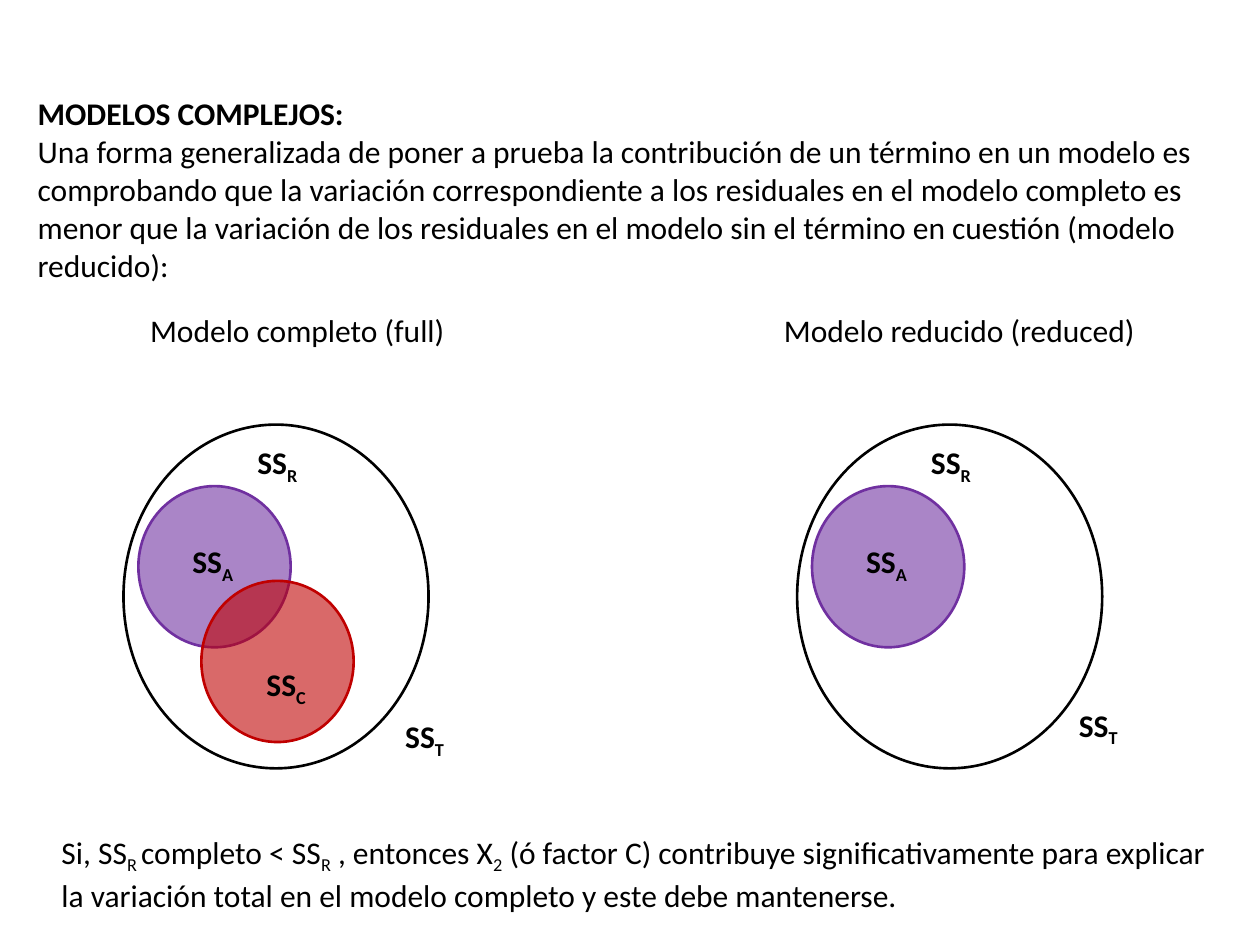
from dataclasses import dataclass

import pptx
import pptx.dml.color
import pptx.enum.shapes
import pptx.enum.text
import pptx.oxml.ns
import pptx.util
from lxml import etree

Cm = pptx.util.Cm
COLORS = {"black": "000000", "purple": "7030A0", "red": "C00000"}
CENTER = pptx.enum.text.PP_ALIGN.CENTER
PANEL_TOP = 8.56
LABEL_HEIGHT = 1.02


@dataclass(frozen=True)
class Run:
    text: str
    subscript: bool = False


@dataclass(frozen=True)
class Paragraph:
    runs: tuple[Run, ...]
    bold: bool = False


@dataclass(frozen=True)
class Circle:
    left: float
    top: float
    width: float
    height: float
    color: str
    filled: bool = True


@dataclass(frozen=True)
class Label:
    source: str
    left: float
    top: float
    width: float


@dataclass(frozen=True)
class Panel:
    left: float
    circles: tuple[Circle, ...]
    labels: tuple[Label, ...]


@dataclass(frozen=True)
class Heading:
    text: str
    left: float
    width: float


TOTAL = Circle(0, 0, 6.15, 6.93, "black", filled=False)
FACTOR_A = Circle(0.3, 1.24, 3.07, 3.25, "purple")
FACTOR_C = Circle(1.57, 3.15, 3.07, 3.25, "red")
LABEL_A = Label("A", 0.91, 2.24, 1.78)
LABEL_C = Label("C", 2.29, 4.72, 1.98)
LABEL_R = Label("R", 2.11, 0.25, 1.98)

PANELS = (
    Panel(2.49, (TOTAL, FACTOR_A, FACTOR_C),
          (LABEL_A, LABEL_C, LABEL_R, Label("T", 5.18, 5.77, 1.78))),
    Panel(16.07, (TOTAL, FACTOR_A),
          (LABEL_A, LABEL_R, Label("T", 5.18, 5.54, 1.78))),
)
HEADINGS = (
    Heading("Modelo completo (full)", 2.39, 7.21),
    Heading("Modelo reducido (reduced)", 14.68, 9.32),
)
INTRODUCTION = (
    Paragraph((Run("MODELOS COMPLEJOS:"),), bold=True),
    Paragraph((Run(
        "Una forma generalizada de poner a prueba la contribución de un término "
        "en un modelo es comprobando que la variación correspondiente a los "
        "residuales en el modelo completo es menor que la variación de los "
        "residuales en el modelo sin el término en cuestión (modelo reducido):"),)),
)
CONCLUSION = (
    Paragraph((
        Run("Si, SS"), Run("R ", True), Run("completo < SS"), Run("R", True),
        Run(" , entonces X"), Run("2", True),
        Run(" (ó factor C) contribuye significativamente para explicar la "
            "variación total en el modelo completo y este debe mantenerse."),
    )),
)


def rgb(name: str) -> pptx.dml.color.RGBColor:
    return pptx.dml.color.RGBColor.from_string(COLORS[name])


def add_text(shapes, paragraphs: tuple[Paragraph, ...], left: float, top: float,
             width: float, height: float, alignment=None) -> None:
    box = shapes.add_textbox(Cm(left), Cm(top), Cm(width), Cm(height))
    frame = box.text_frame
    frame.word_wrap = True
    frame.auto_size = pptx.enum.text.MSO_AUTO_SIZE.SHAPE_TO_FIT_TEXT
    for index, content in enumerate(paragraphs):
        paragraph = frame.add_paragraph() if index else frame.paragraphs[0]
        paragraph.alignment = alignment
        paragraph.font.name = "Calibri"
        paragraph.font.size = pptx.util.Pt(18)
        paragraph.font.bold = content.bold
        paragraph.font.color.rgb = rgb("black")
        for part in content.runs:
            run = paragraph.add_run()
            run.text = part.text
            if part.subscript:
                run._r.get_or_add_rPr().set("baseline", "-25000")


def add_circle(shapes, circle: Circle, panel_left: float) -> None:
    shape = shapes.add_shape(
        pptx.enum.shapes.MSO_SHAPE.OVAL, Cm(panel_left + circle.left),
        Cm(PANEL_TOP + circle.top), Cm(circle.width), Cm(circle.height))
    shape.shadow.inherit = False
    shape.line.color.rgb = rgb(circle.color)
    shape.line.width = pptx.util.Pt(1.5)
    if circle.filled:
        shape.fill.solid()
        shape.fill.fore_color.rgb = rgb(circle.color)
        fill_color = shape._element.spPr.find(
            "a:solidFill/a:srgbClr", {"a": pptx.oxml.ns.nsuri("a")})
        etree.SubElement(fill_color, pptx.oxml.ns.qn("a:alpha"), val="59000")
    else:
        shape.fill.background()


def add_panel(slide, panel: Panel) -> None:
    shapes = slide.shapes.add_group_shape().shapes
    for circle in panel.circles:
        add_circle(shapes, circle, panel.left)
    for label in panel.labels:
        content = Paragraph((Run("SS"), Run(label.source, True)), bold=True)
        add_text(shapes, (content,), panel.left + label.left,
                 PANEL_TOP + label.top, label.width, LABEL_HEIGHT, CENTER)


def main() -> None:
    presentation = pptx.Presentation()
    presentation.slide_width = Cm(25.4)
    presentation.slide_height = Cm(19.05)
    slide = presentation.slides.add_slide(presentation.slide_layouts[6])
    add_text(slide.shapes, INTRODUCTION, 0.51, 1.78, 24.82, 4.11)
    for panel in PANELS:
        add_panel(slide, panel)
    add_text(slide.shapes, CONCLUSION, 0.99, 16.66, 23.83, 1.8)
    for heading in HEADINGS:
        add_text(slide.shapes, (Paragraph((Run(heading.text),)),),
                 heading.left, 6.15, heading.width, LABEL_HEIGHT, CENTER)
    presentation.save("out.pptx")


if __name__ == "__main__":
    main()
